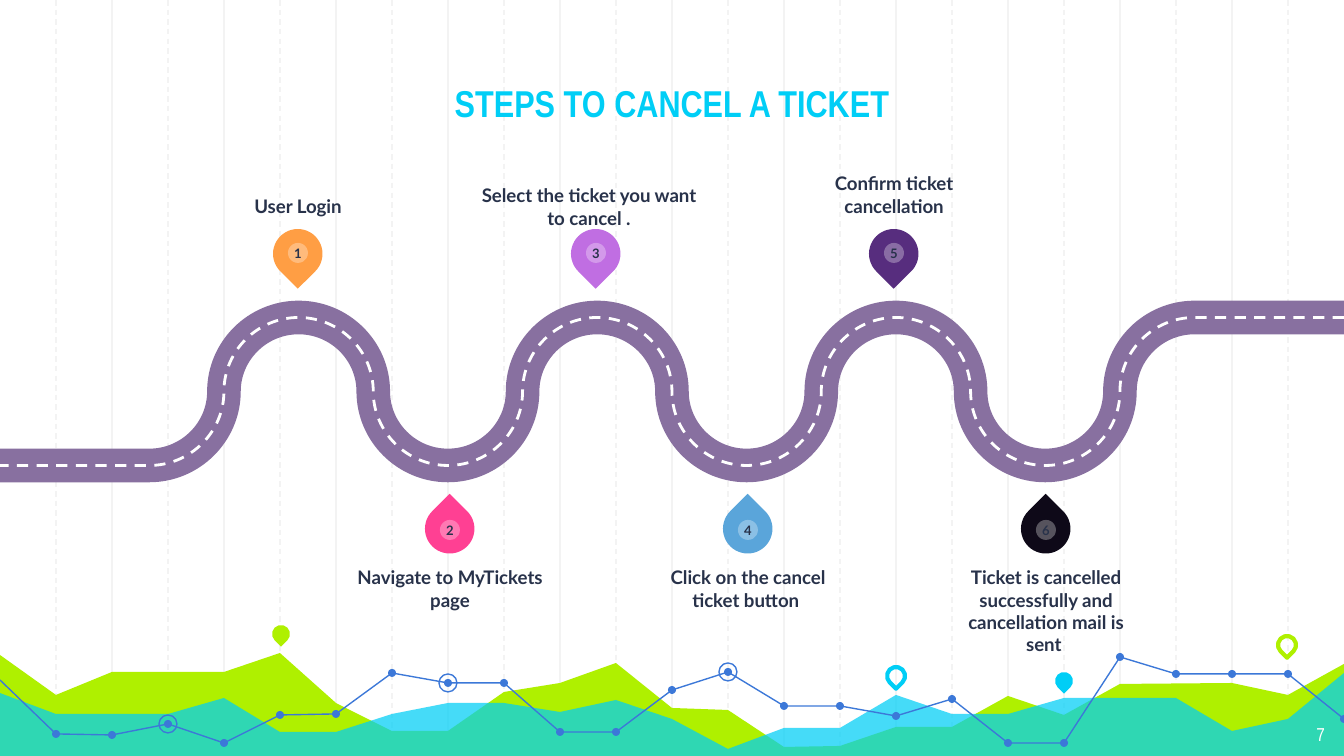
from dataclasses import dataclass

from lxml.etree import SubElement
from pptx import Presentation
from pptx.dml.color import RGBColor
from pptx.enum.dml import MSO_LINE
from pptx.enum.shapes import MSO_CONNECTOR, MSO_SHAPE
from pptx.enum.text import MSO_ANCHOR, MSO_AUTO_SIZE, PP_ALIGN
from pptx.oxml.ns import qn
from pptx.util import Emu, Pt

WIDE, HIGH = 1344, 756
SCALE = 9144000 / WIDE
GRID = 56
INK, CYAN, LIME, BLUE, PALE = "28324A", "00CEF6", "AFF000", "3C78D8", "F3F3F3"
WHITE, ROAD = "FFFFFF", "8870A0"


@dataclass
class Step:
    """One stop along the road."""
    rank: int
    text: str
    hue: str
    shift: int = 0
    drop: int = 0
    wide: int = 190

    @property
    def low(self) -> bool:
        """Tell whether the stop hangs below the road."""
        return self.rank % 2 == 0

    @property
    def mid(self) -> int:
        """Give the centre of the pin."""
        return 149 * (self.rank + 1) + 3 * self.low


@dataclass
class Pin:
    """A small marker above the hills."""
    left: int
    top: int
    hue: str
    full: bool


STEPS = [
    Step(1, "User Login", "FF9E44"),
    Step(3, "Select the ticket you want to cancel .", "C06EE2", -7, 12, 236),
    Step(5, "Confirm ticket cancellation", "572D7E"),
    Step(6, "Ticket is cancelled successfully and cancellation mail is sent ", "0E0918"),
    Step(4, "Click on the cancel ticket button ", "5AA5DA"),
    Step(2, "Navigate to MyTickets page", "FF4093"),
]
PINS = [Pin(272, 625, LIME, True), Pin(887, 667, CYAN, False),
        Pin(1055, 672, CYAN, True), Pin(1278, 636, LIME, False)]
# Heights at grid columns
GREEN = {0: 655, 1: 695, 2: 672, 4: 672, 5: 653, 6: 703, 7: 731, 8: 731, 9: 692,
         10: 683, 11: 663, 12: 708, 13: 710, 14: 747, 15: 746, 16: 727, 17: 727,
         18: 696, 19: 715, 20: 684, 22: 683, 23: 695, 24: 664}
AQUA = {0: 693, 1: 714, 3: 714, 4: 698, 5: 732, 6: 732, 7: 714, 8: 703, 9: 703,
        10: 712, 11: 700, 12: 719, 13: 749, 14: 728, 15: 728, 16: 695, 17: 714,
        18: 714, 19: 698, 21: 698, 22: 731, 23: 719, 24: 673}
TREND = [680, 734, 735, 724, 743, 715, 714, 673, 683, 683, 732, 732, 690, 672,
         706, 706, 716, 699, 743, 743, 657, 674, 674, 674, 719]


def px(size: float) -> Emu:
    """Turn pixels into EMU."""
    return Emu(round(size * SCALE))


def tint(code: str) -> RGBColor:
    """Turn a hex string into a colour."""
    return RGBColor.from_string(code)


def paint(shape, fill=None, line=None, width=0.75, alpha=None, dash=False):
    """Set fill, line and opacity, and drop the shadow."""
    shape.shadow.inherit = False
    if fill:
        shape.fill.solid()
        shape.fill.fore_color.rgb = tint(fill)
        if alpha:
            color = shape.element.spPr.find(qn("a:solidFill")).find(qn("a:srgbClr"))
            SubElement(color, qn("a:alpha")).set("val", str(alpha * 1000))
    else:
        shape.fill.background()
    if line:
        shape.line.color.rgb = tint(line)
        shape.line.width = Pt(width)
        if dash:
            shape.line.dash_style = MSO_LINE.DASH
    else:
        shape.line.fill.background()
    return shape


def place(shapes, kind, left: float, top: float, size: float, turn=0, **look):
    """Add a square preset shape."""
    shape = shapes.add_shape(kind, px(left), px(top), px(size), px(size))
    shape.rotation = turn
    return paint(shape, **look)


def trace(shapes, points: list, closed=False, **look):
    """Add an outline through pixel points."""
    spots = [(px(x), px(y)) for x, y in points]
    pen = shapes.build_freeform(*spots[0], scale=1.0)
    pen.add_line_segments(spots[1:], close=closed)
    return paint(pen.convert_to_shape(), **look)


def write(shape, text: str, size=10, font="Lato", color=INK, bold=True,
          align=PP_ALIGN.CENTER, anchor=MSO_ANCHOR.TOP, inset=0):
    """Put formatted text into a shape."""
    frame = shape.text_frame
    frame.auto_size = MSO_AUTO_SIZE.NONE
    frame.word_wrap = True
    frame.vertical_anchor = anchor
    frame.margin_left = frame.margin_right = px(inset)
    frame.margin_top = frame.margin_bottom = px(inset)
    para = frame.paragraphs[0]
    para.alignment = align
    run = para.add_run()
    run.text = text
    run.font.size, run.font.name, run.font.bold = Pt(size), font, bold
    run.font.color.rgb = tint(color)


def rule(shapes):
    """Draw solid and dashed grid lines."""
    for start, dash in ((2 * GRID, False), (GRID, True)):
        for x in range(start, WIDE, 2 * GRID):
            line = shapes.add_connector(MSO_CONNECTOR.STRAIGHT, px(x), 0, px(x), px(HIGH))
            line.line.color.rgb = tint(PALE)
            line.line.width = Pt(0.75)
            if dash:
                line.line.dash_style = MSO_LINE.DASH
            SubElement(line.element.spPr, qn("a:effectLst"))


def plot(shapes):
    """Draw hills, small pins and the trend line."""
    for hill, hue, alpha in ((GREEN, LIME, None), (AQUA, CYAN, 73)):
        crest = [(GRID * col, y) for col, y in hill.items()]
        trace(shapes, crest + [(WIDE, HIGH), (0, HIGH)], True, fill=hue, alpha=alpha)
    for pin in PINS:
        look = {"fill": pin.hue} if pin.full else {"line": pin.hue, "width": 2.25}
        place(shapes, MSO_SHAPE.TEAR, pin.left, pin.top, 18, 135, **look)
    spots = [(GRID * col, y) for col, y in enumerate(TREND)]
    for first, last in ((0, 11), (11, 20), (20, 24)):
        trace(shapes, spots[first:last + 1], line=BLUE)
    for x, y in spots[1:]:
        place(shapes, MSO_SHAPE.OVAL, x - 4, y - 4, 8, fill=BLUE)
    for col in (3, 8, 13):
        x, y = spots[col]
        place(shapes, MSO_SHAPE.OVAL, x - 9, y - 9, 18, line=BLUE)


def bend(shape):
    """Turn slanted segments into quarter arcs."""
    flat, last = True, None
    for node in list(shape.element.iter(qn("a:moveTo"), qn("a:lnTo"))):
        spot = node.find(qn("a:pt"))
        x, y = int(spot.get("x")), int(spot.get("y"))
        if last and x != last[0] and y != last[1]:
            dx, dy = (x - last[0]) * 0.55, (y - last[1]) * 0.55
            pulls = ([(last[0] + dx, last[1]), (x, y - dy)] if flat
                     else [(last[0], last[1] + dy), (x - dx, y)])
            node.tag = qn("a:cubicBezTo")
            for place_no, (left, top) in enumerate(pulls):
                pull = SubElement(node, qn("a:pt"), x=str(round(left)), y=str(round(top)))
                node.insert(place_no, pull)
            flat = not flat
        last = x, y


def pave(shapes):
    """Draw the winding road and its dashed centre."""
    top, mid, base = 317.5, 391.5, 465.5
    turns = [(WIDE * k / 18, (top, mid, base, mid)[k % 4]) for k in range(16, 1, -1)]
    points = [(WIDE, top)] + turns + [(0, base)]
    for look in ({"line": ROAD, "width": 18}, {"line": WHITE, "width": 1.5, "dash": True}):
        bend(trace(shapes, points, **look))


def mark(shapes, step: Step):
    """Draw a numbered pin."""
    top, dot, turn = (504, 520, 315) if step.low else (229, 243, 135)
    place(shapes, MSO_SHAPE.TEAR, step.mid - 25, top, 49.5, turn, fill=step.hue)
    disc = place(shapes, MSO_SHAPE.OVAL, step.mid - 10, dot, 20, fill=WHITE, alpha=30)
    write(disc, str(step.rank), size=7, anchor=MSO_ANCHOR.MIDDLE)


def label(shapes, step: Step):
    """Write the words of a step."""
    top, anchor = (566, MSO_ANCHOR.TOP) if step.low else (139, MSO_ANCHOR.BOTTOM)
    box = shapes.add_textbox(px(step.mid + step.shift - step.wide / 2),
                             px(top + step.drop), px(step.wide), px(78))
    write(box, step.text, anchor=anchor)


def main():
    """Build and save the slide."""
    deck = Presentation()
    deck.slide_width, deck.slide_height = px(WIDE), px(HIGH)
    layout = deck.slide_layouts[5]
    shapes = deck.slides.add_slide(layout).shapes
    title = shapes.title
    rule(shapes)
    plot(shapes)
    back = layout.shapes.element
    for holder in list(layout.placeholders)[1:]:
        back.remove(holder.element)
    for shape in list(shapes)[1:]:
        back.append(shape.element)
    title.left, title.top, title.width, title.height = px(158), px(34), px(1028), px(104)
    write(title, "STEPS TO CANCEL A TICKET", size=20, font="Arial Narrow", color=CYAN,
          anchor=MSO_ANCHOR.BOTTOM, inset=13)
    page = shapes.add_textbox(px(1258), px(710), px(80), px(46))
    write(page, "7", font="Arial Narrow", color=WHITE, bold=False,
          align=PP_ALIGN.RIGHT, inset=13)
    pave(shapes)
    for step in STEPS:
        mark(shapes, step)
    for step in sorted(STEPS, key=lambda step: (step.low, step.rank)):
        label(shapes, step)
    deck.save("out.pptx")


main()
